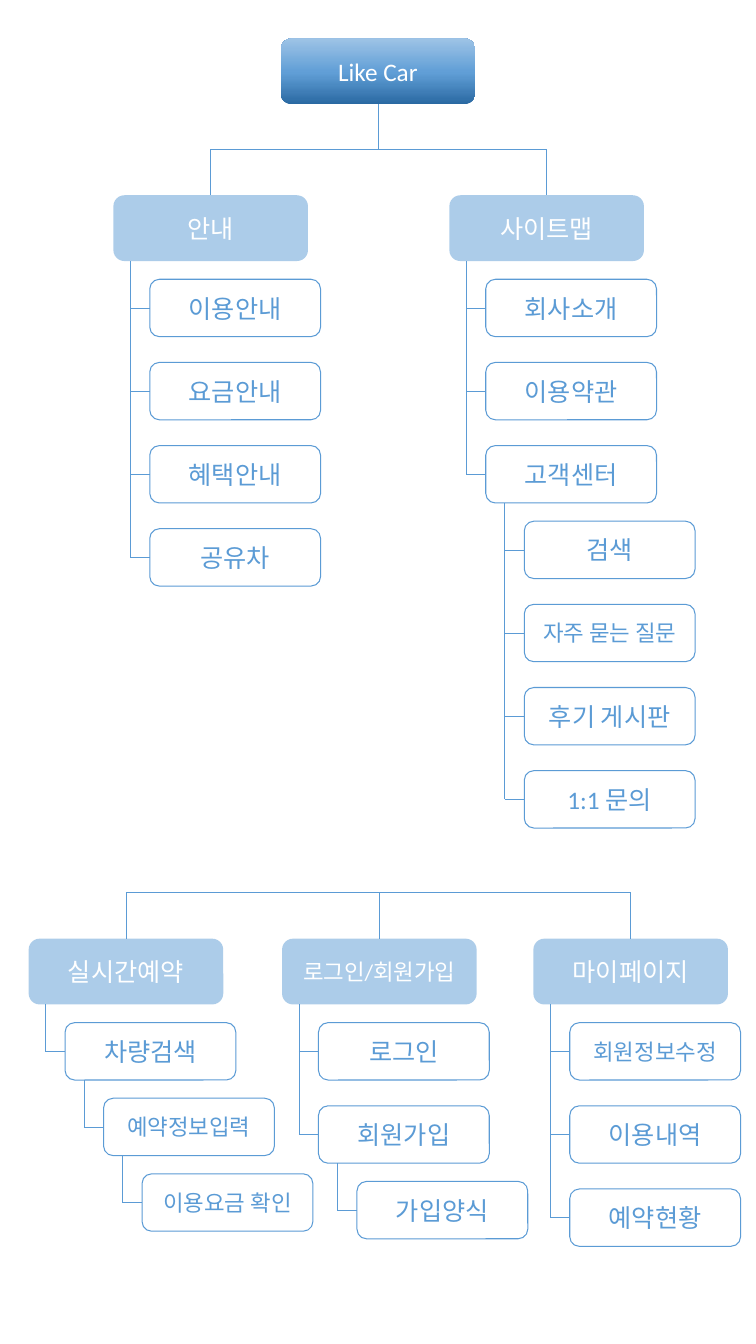
from dataclasses import dataclass
from copy import deepcopy

from lxml import etree
from pptx import Presentation
from pptx.dml.color import RGBColor
from pptx.enum.shapes import MSO_CONNECTOR, MSO_SHAPE
from pptx.enum.text import MSO_ANCHOR, PP_ALIGN
from pptx.oxml.ns import qn
from pptx.util import Pt

ROUNDED = MSO_SHAPE.ROUNDED_RECTANGLE
STRAIGHT = MSO_CONNECTOR.STRAIGHT
CENTER = PP_ALIGN.CENTER
MIDDLE = MSO_ANCHOR.MIDDLE

COLORS = {"blue": "5B9BD5", "white": "FFFFFF"}
ROOT_GRADIENT = ((0, "2A69A2"), (0.48, "609ED6"), (1, "9DC3E6"))
FONT = "Calibri"

# Layout in points
SLIDE_WIDTH, SLIDE_HEIGHT = 540, 960
HEADER_WIDTH, HEADER_HEIGHT = 139, 47
ITEM_WIDTH, ITEM_HEIGHT = 122, 41
ROW_STEP = 59.4
SPINE_GAP = 14
HEADER_INDENT, HEADER_DROP = 26, 60
ITEM_INDENT, ITEM_DROP = 27.5, 54
BUS_RISE = 33


@dataclass
class Node:
    text: str
    children: tuple = ()
    size: int = 18


class SitemapSlide:
    def __init__(self, slide):
        self.shapes = slide.shapes

    def box(self, left, top, width, height, text, color, size=18):
        shape = self.shapes.add_shape(ROUNDED, Pt(left), Pt(top), Pt(width), Pt(height))
        shape.shadow.inherit = False
        shape.fill.background()
        shape.line.fill.background()
        frame = shape.text_frame
        frame.vertical_anchor = MIDDLE
        paragraph = frame.paragraphs[0]
        paragraph.text = text
        paragraph.alignment = CENTER
        paragraph.font.name = FONT
        paragraph.font.size = Pt(size)
        paragraph.font.color.rgb = RGBColor.from_string(COLORS[color])
        return shape

    def line(self, x1, y1, x2, y2):
        connector = self.shapes.add_connector(STRAIGHT, Pt(x1), Pt(y1), Pt(x2), Pt(y2))
        connector.line.color.rgb = RGBColor.from_string(COLORS["blue"])
        connector.line.width = Pt(0.5)
        etree.SubElement(connector._element.spPr, qn("a:effectLst"))

    def root(self, left, top, text):
        shape = self.box(left, top, HEADER_WIDTH, HEADER_HEIGHT, text, "white")
        shape.fill.gradient()
        shape.fill.gradient_angle = 90
        stop_list = shape._element.spPr.find(".//" + qn("a:gsLst"))
        stop_list.append(deepcopy(stop_list[-1]))
        for stop, (position, color) in zip(shape.fill.gradient_stops, ROOT_GRADIENT):
            stop.position = position
            stop.color.rgb = RGBColor.from_string(color)

    def header(self, left, top, node):
        shape = self.box(left, top, HEADER_WIDTH, HEADER_HEIGHT, node.text, "white", node.size)
        shape.fill.solid()
        shape.fill.fore_color.rgb = RGBColor.from_string(COLORS["blue"])
        color = shape._element.spPr.find(qn("a:solidFill"))[0]
        etree.SubElement(color, qn("a:alpha"), val="50000")
        self.branch(left + HEADER_INDENT, top + HEADER_DROP, top + HEADER_HEIGHT, node.children)

    def item(self, left, top, node):
        shape = self.box(left, top, ITEM_WIDTH, ITEM_HEIGHT, node.text, "blue", node.size)
        shape.line.color.rgb = RGBColor.from_string(COLORS["blue"])
        shape.line.width = Pt(0.75)
        if node.children:
            self.branch(left + ITEM_INDENT, top + ITEM_DROP, top + ITEM_HEIGHT, node.children)

    def branch(self, left, top, spine_top, nodes):
        """Stack items under a parent, joined to one vertical spine."""
        spine = left - SPINE_GAP
        for row, node in enumerate(nodes):
            item_top = top + row * ROW_STEP
            middle = item_top + ITEM_HEIGHT / 2
            self.item(left, item_top, node)
            self.line(spine, middle, left, middle)
        self.line(spine, spine_top, spine, middle)

    def tier(self, top, columns):
        """Place a row of headers hanging from one horizontal line."""
        bus = top - BUS_RISE
        centers = [left + HEADER_WIDTH / 2 for left, _ in columns]
        self.line(centers[0], bus, centers[-1], bus)
        for center, (left, node) in zip(centers, columns):
            self.line(center, bus, center, top)
            self.header(left, top, node)


# Site structure: left edge and header of each column
UPPER = (
    (81, Node("안내", (
        Node("이용안내"), Node("요금안내"), Node("혜택안내"), Node("공유차")))),
    (321, Node("사이트맵", (
        Node("회사소개"),
        Node("이용약관"),
        Node("고객센터", (
            Node("검색"), Node("자주 묻는 질문", size=16),
            Node("후기 게시판"), Node("1:1 문의")))))),
)
LOWER = (
    (20.5, Node("실시간예약", (
        Node("차량검색", (
            Node("예약정보입력", (
                Node("이용요금 확인", size=16),), 16),)),))),
    (201.5, Node("로그인/회원가입", (
        Node("로그인"), Node("회원가입", (Node("가입양식"),))), 16)),
    (381, Node("마이페이지", (
        Node("회원정보수정", size=16), Node("이용내역"), Node("예약현황")))),
)

presentation = Presentation()
presentation.slide_width = Pt(SLIDE_WIDTH)
presentation.slide_height = Pt(SLIDE_HEIGHT)
sitemap = SitemapSlide(presentation.slides.add_slide(presentation.slide_layouts[6]))

# Root and its stem
root_top, upper_top, lower_top = 27.5, 139.5, 670.5
middle_x = SLIDE_WIDTH / 2
sitemap.root(middle_x - HEADER_WIDTH / 2, root_top, "Like Car")
sitemap.line(middle_x, root_top + HEADER_HEIGHT, middle_x, upper_top - BUS_RISE)

# Two tiers of columns
sitemap.tier(upper_top, UPPER)
sitemap.tier(lower_top, LOWER)

presentation.save("out.pptx")
